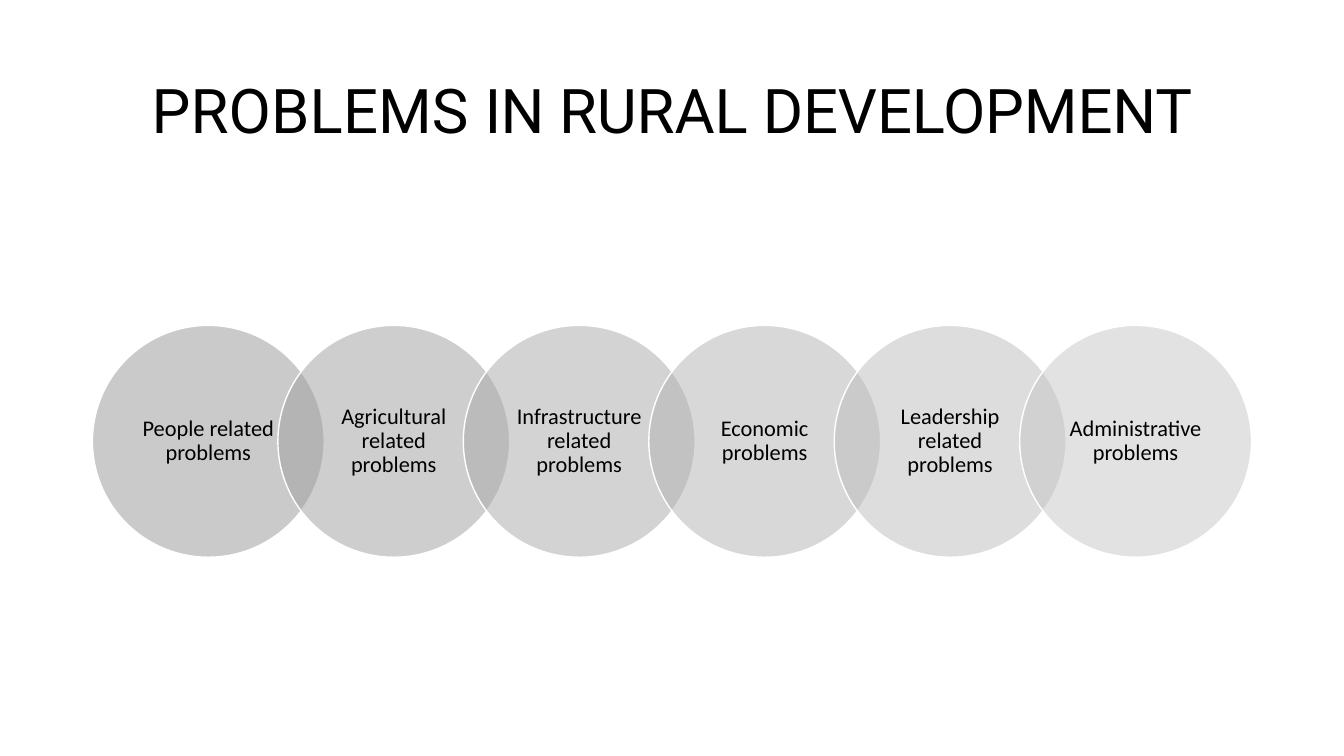
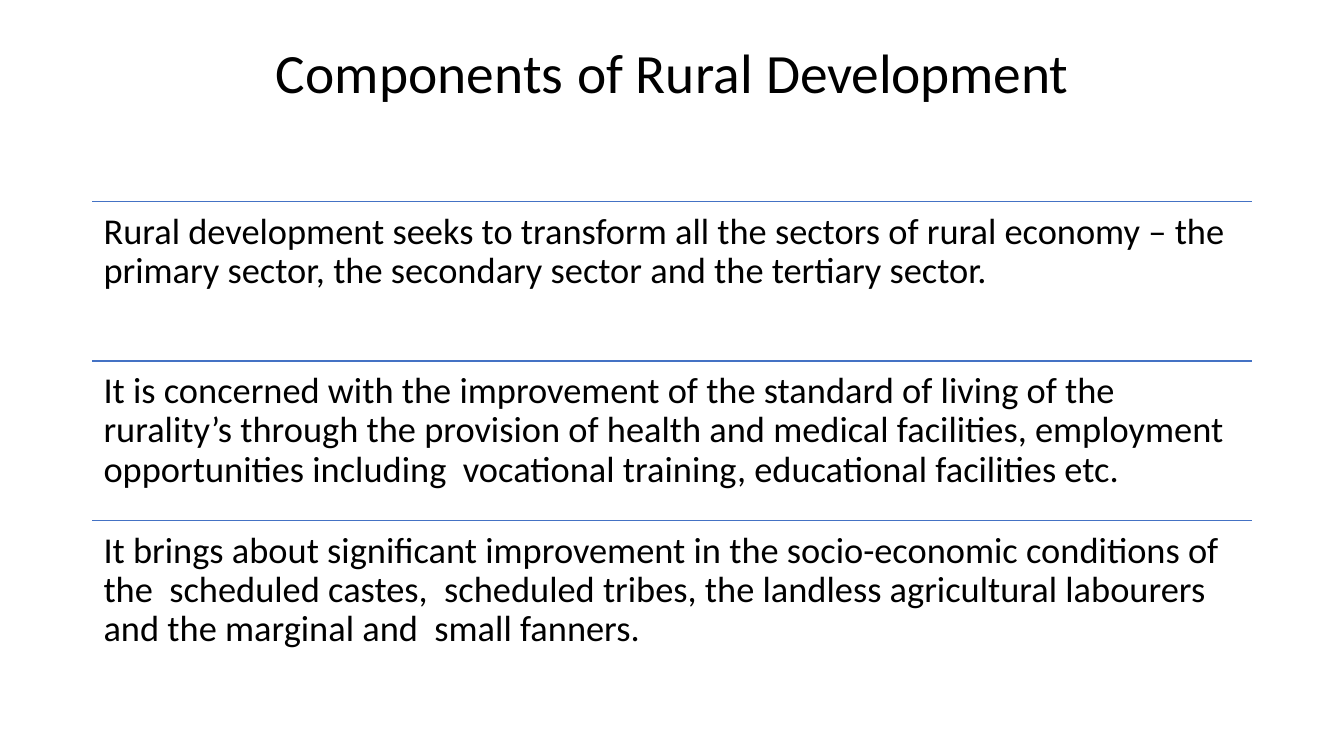
from lxml import etree
from pptx import Presentation
from pptx.dml.color import RGBColor
from pptx.enum.shapes import MSO_CONNECTOR, MSO_SHAPE
from pptx.enum.text import MSO_ANCHOR, MSO_AUTO_SIZE, PP_ALIGN
from pptx.oxml.ns import qn
from pptx.util import Cm, Pt

LINE = MSO_CONNECTOR.STRAIGHT
ELLIPSE = MSO_SHAPE.OVAL
TOP, MIDDLE = MSO_ANCHOR.TOP, MSO_ANCHOR.MIDDLE
LEFT, CENTER = PP_ALIGN.LEFT, PP_ALIGN.CENTER
NO_AUTOFIT = MSO_AUTO_SIZE.NONE

BLACK, WHITE, BLUE = "000000", "FFFFFF", "4472C4"
BODY_FONT = "Calibri"

# Content: title runs are (text, letter spacing in hundredths of a point)
PROBLEMS_TITLE = [("PROBLEMS ", 10), ("IN ", -60), ("RURAL DEVELOPMENT", -10)]
PROBLEMS = [
    ("People related problems", "969696"),
    ("Agricultural related problems", "9F9F9F"),
    ("Infrastructure related problems", "A9A9A9"),
    ("Economic problems", "B3B3B3"),
    ("Leadership related problems", "BDBDBD"),
    ("Administrative problems", "C6C6C6"),
]
COMPONENTS_TITLE = [("Components ", 10), ("of ", -10), ("Rural ", 20),
                    ("Development", -10)]
COMPONENTS = [
    "Rural development seeks to transform all the sectors of rural economy – "
    "the primary sector, the secondary sector and the tertiary sector.",
    "It is concerned with the improvement of the standard of living of the "
    "rurality’s through the provision of health and medical facilities, "
    "employment opportunities including  vocational training, educational "
    "facilities etc.",
    "It brings about significant improvement in the socio-economic conditions "
    "of the  scheduled castes,  scheduled tribes, the landless agricultural "
    "labourers and the marginal and  small fanners.",
]

# Geometry in centimetres
SLIDE_W, SLIDE_H = 33.87, 19.05
CONTENT_W = 29.21
MARGIN = (SLIDE_W - CONTENT_W) / 2
CIRCLE_TOP = 8.2
OVERLAP = 0.2
ROWS_TOP, ROW_H = 5.08, 4.02


def color(value):
    return RGBColor.from_string(value)


def write(sp, runs, size, font=BODY_FONT, align=LEFT, anchor=TOP, insets=None):
    tf = sp.text_frame
    tf.word_wrap = True
    tf.auto_size = NO_AUTOFIT
    tf.vertical_anchor = anchor
    if insets:
        side, end = insets
        tf.margin_left = tf.margin_right = Cm(side)
        tf.margin_top = tf.margin_bottom = Cm(end)
    p = tf.paragraphs[0]
    p.alignment = align
    p.line_spacing = 0.9
    for text, spacing in runs:
        r = p.add_run()
        r.text = text
        r.font.name = font
        r.font.size = Pt(size)
        r.font.color.rgb = color(BLACK)
        if spacing:
            r._r.get_or_add_rPr().set("spc", str(spacing))


def add_titled_slide(prs, runs, top, height, size, font=BODY_FONT):
    s = prs.slides.add_slide(prs.slide_layouts[5])
    title = s.shapes.title
    title.left, title.top = Cm(MARGIN), Cm(top)
    title.width, title.height = Cm(CONTENT_W), Cm(height)
    write(title, runs, size, font, CENTER, MIDDLE)
    return s


def add_circle(s, left, diameter, label, fill):
    sp = s.shapes.add_shape(ELLIPSE, Cm(left), Cm(CIRCLE_TOP),
                            Cm(diameter), Cm(diameter))
    sp.shadow.inherit = False
    sp.fill.solid()
    sp.fill.fore_color.rgb = color(fill)
    rgb = sp.fill._xPr.find(".//" + qn("a:srgbClr"))
    etree.SubElement(rgb, qn("a:alpha")).set("val", "50000")
    sp.line.color.rgb = color(WHITE)
    sp.line.width = Pt(1)
    write(sp, [(label, 0)], 16, align=CENTER, anchor=MIDDLE, insets=(0.33, 0.05))


def add_row(s, top, text):
    rule = s.shapes.add_connector(LINE, Cm(MARGIN), Cm(top),
                                  Cm(MARGIN + CONTENT_W), Cm(top))
    rule.line.color.rgb = color(BLUE)
    rule.line.width = Pt(1)
    etree.SubElement(rule._element.spPr, qn("a:effectLst"))
    box = s.shapes.add_textbox(Cm(MARGIN), Cm(top), Cm(CONTENT_W), Cm(ROW_H))
    write(box, [(text, 0)], 26, insets=(0.28, 0.28))


def main():
    prs = Presentation()
    prs.slide_width, prs.slide_height = Cm(SLIDE_W), Cm(SLIDE_H)

    # Problems: a chain of overlapping circles
    s = add_titled_slide(prs, PROBLEMS_TITLE, 1.02, 3.68, 44, "Roboto")
    steps = len(PROBLEMS) - 1
    diameter = CONTENT_W / (1 + steps * (1 - OVERLAP))
    for i, (label, fill) in enumerate(PROBLEMS):
        left = MARGIN + i * diameter * (1 - OVERLAP)
        add_circle(s, left, diameter, label, fill)

    # Components: ruled rows of text
    s = add_titled_slide(prs, COMPONENTS_TITLE, 0.97, 1.85, 39.6)
    for i, text in enumerate(COMPONENTS):
        add_row(s, ROWS_TOP + i * ROW_H, text)

    prs.save("out.pptx")


if __name__ == "__main__":
    main()
